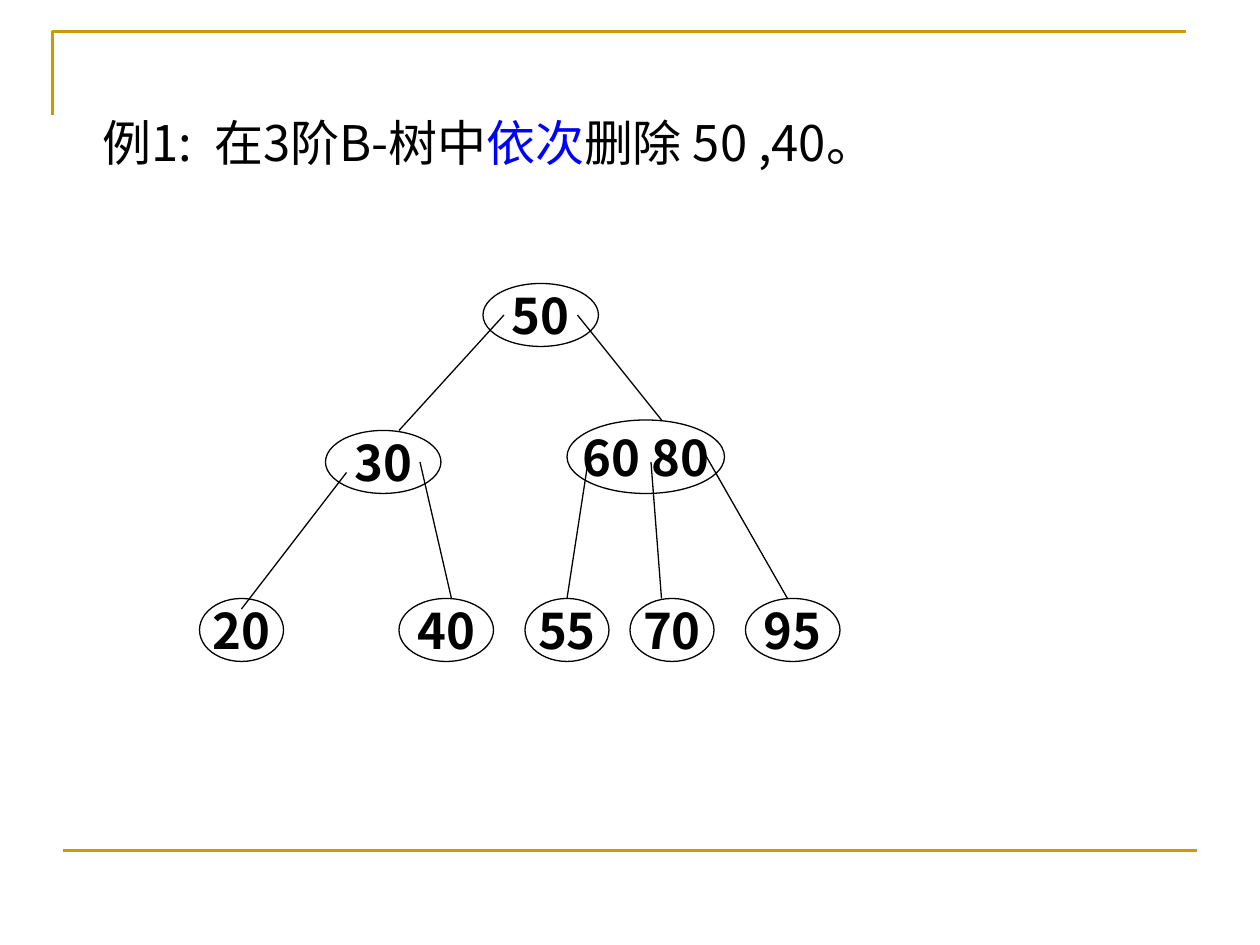
from lxml.etree import SubElement
from pptx import Presentation
from pptx.dml.color import RGBColor
from pptx.enum.shapes import MSO_CONNECTOR, MSO_SHAPE
from pptx.enum.text import MSO_ANCHOR, MSO_AUTO_SIZE, PP_ALIGN
from pptx.oxml.ns import qn
from pptx.util import Emu, Pt

SCALE = 7620
FONT = "Noto Sans CJK SC"
BLACK = RGBColor(0x00, 0x00, 0x00)
BLUE = RGBColor(0x00, 0x00, 0xFF)
GOLD = RGBColor(0xCC, 0x99, 0x00)

TITLE = [("例1:  在3阶B-树中", BLACK), ("依次", BLUE), ("删除 50 ,40。", BLACK)]
NODES = [
    ("50", 460, 270, 110, 60),
    ("30", 310, 410, 110, 60),
    ("60 80", 540, 400, 150, 70),
    ("20", 190, 570, 80, 60),
    ("40", 380, 570, 90, 60),
    ("55", 500, 570, 80, 60),
    ("70", 600, 570, 80, 60),
    ("95", 710, 570, 90, 60),
]
EDGES = [
    (480, 300, 380, 410),
    (550, 300, 630, 400),
    (330, 450, 230, 580),
    (400, 440, 430, 570),
    (560, 440, 540, 570),
    (620, 440, 630, 570),
    (670, 430, 750, 570),
]


def px(*lengths):
    """Turn pixel lengths into EMU."""
    return [Emu(length * SCALE) for length in lengths]


def style_line(line, color, width):
    """Set the colour and the width of a line."""
    line.color.rgb = color
    line.width = Pt(width)


def style_span(span, color, bold=False):
    """Set the font of a run for Latin and Chinese text."""
    span.font.name = FONT
    span.font.size = Pt(28)
    span.font.bold = bold
    span.font.color.rgb = color
    SubElement(span.font._element, qn("a:ea"), typeface=FONT)


def add_line(shapes, ends, color, width):
    """Draw a straight line between two points."""
    line = shapes.add_connector(MSO_CONNECTOR.STRAIGHT, *px(*ends))
    style_line(line.line, color, width)
    SubElement(line._element.spPr, qn("a:effectLst"))


def add_corner(shapes):
    """Draw the angled rule at the top of the page."""
    builder = shapes.build_freeform(50, 110, scale=SCALE)
    builder.add_line_segments([(50, 30), (1130, 30)], close=False)
    corner = builder.convert_to_shape()
    corner.fill.background()
    corner.shadow.inherit = False
    style_line(corner.line, GOLD, 1.5)


def add_title(shapes):
    """Write the exercise with its coloured word."""
    box = shapes.add_textbox(*px(86, 101, 926, 68))
    box.text_frame.word_wrap = True
    box.text_frame.auto_size = MSO_AUTO_SIZE.SHAPE_TO_FIT_TEXT
    para = box.text_frame.paragraphs[0]
    for text, color in TITLE:
        span = para.add_run()
        span.text = text
        style_span(span, color)


def add_node(shapes, keys, *place):
    """Draw a tree node with its keys."""
    node = shapes.add_shape(MSO_SHAPE.OVAL, *px(*place))
    node.fill.background()
    node.shadow.inherit = False
    style_line(node.line, BLACK, 0.75)
    frame = node.text_frame
    frame.text = keys
    frame.word_wrap = False
    frame.vertical_anchor = MSO_ANCHOR.MIDDLE
    para = frame.paragraphs[0]
    para.alignment = PP_ALIGN.CENTER
    style_span(para.runs[0], BLACK, bold=True)


def main():
    """Build the slide and save it."""
    deck = Presentation()
    deck.slide_width, deck.slide_height = px(1200, 900)
    page = deck.slides.add_slide(deck.slide_layouts[6])
    add_corner(page.shapes)
    add_line(page.shapes, (60, 810, 1140, 810), GOLD, 1.5)
    add_title(page.shapes)
    tree = page.shapes.add_group_shape()
    for node in NODES:
        add_node(tree.shapes, *node)
    for edge in EDGES:
        add_line(tree.shapes, edge, BLACK, 0.75)
    deck.save("out.pptx")


if __name__ == "__main__":
    main()
